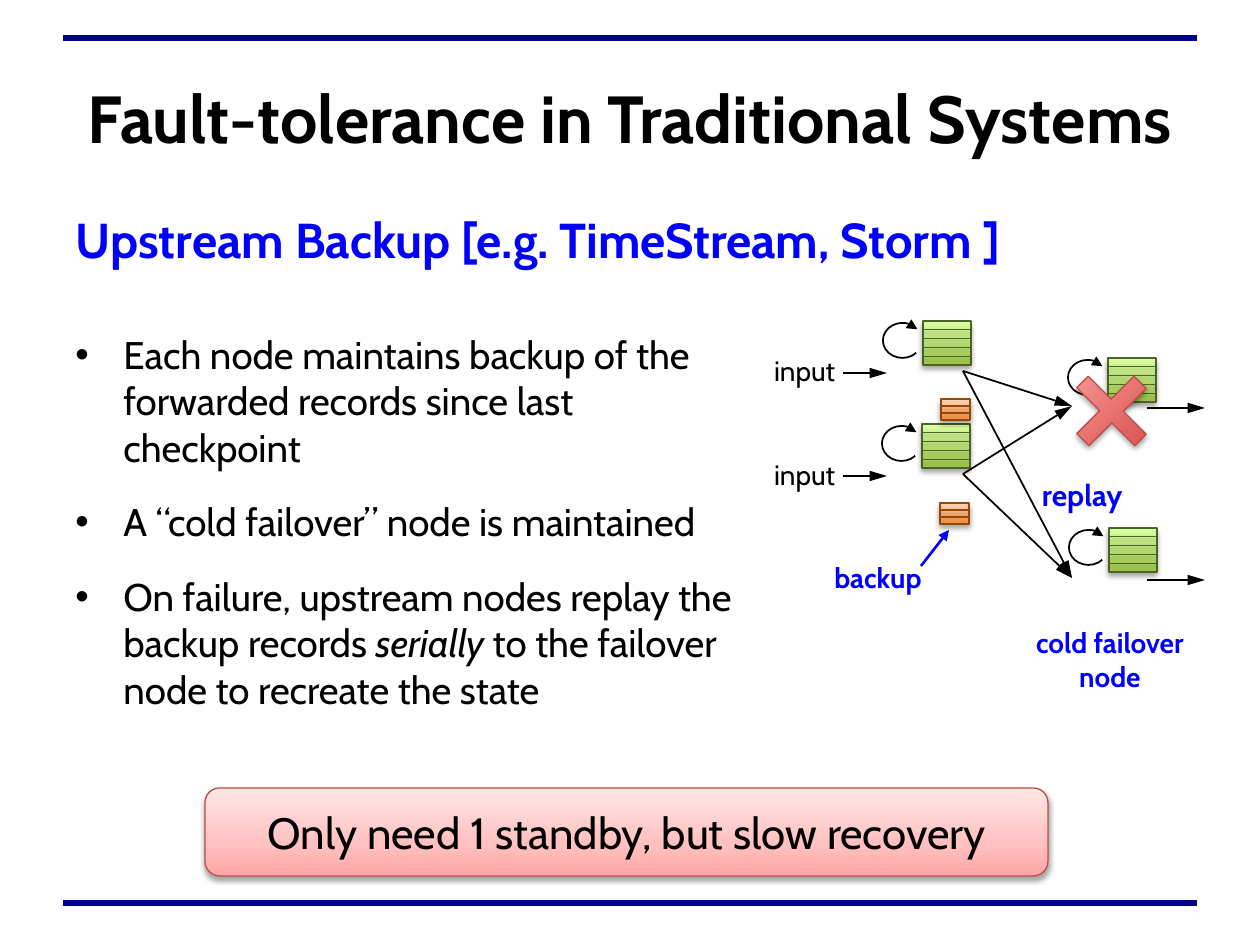
import pptx
import pptx.dml.color
import pptx.enum.shapes
import pptx.enum.text
import pptx.oxml.ns
import pptx.util
from lxml import etree

FONT = "Cabin"
BLACK, BLUE, NAVY = "000000", "0000FF", "000090"
GREEN = ([(0, "A0CA4A"), (100, "DAFFA5")], "4F6228")
ORANGE = ([(0, "FF953E"), (100, "FFD2BD")], "984807")
RED = ([(0, "D1403C"), (100, "FFA6A5")], "BF4C48")
PINK = ([(0, "FFA6A5"), (35, "FFC0BF"), (100, "FFE7E7")], "BF4C48")
SHAPES = pptx.enum.shapes.MSO_SHAPE
ALIGN = pptx.enum.text.PP_ALIGN
MIDDLE = pptx.enum.text.MSO_ANCHOR.MIDDLE


def px(length):
    return pptx.util.Emu(round(length * 914400 / 126))


def color(hex_code):
    return pptx.dml.color.RGBColor.from_string(hex_code)


def add_element(parent, tag, **attributes):
    element = etree.SubElement(parent, pptx.oxml.ns.qn(tag))
    for name, value in attributes.items():
        element.set(name, str(value))
    return element


def set_line(shape, hex_code, points):
    shape.line.color.rgb = color(hex_code)
    shape.line.width = pptx.util.Pt(points)


def add_arrowhead(shape, length="med"):
    add_element(shape.line._get_or_add_ln(), "a:tailEnd", type="triangle", w="med", len=length)


def add_shadow(effects):
    shadow = add_element(effects, "a:outerShdw", blurRad=pptx.util.Pt(3.1),
                         dist=pptx.util.Pt(1.8), dir=90 * 60000, rotWithShape=0)
    add_element(add_element(shadow, "a:srgbClr", val=BLACK), "a:alpha", val=35000)


def add_line(slide, start, end, hex_code=BLACK, points=1.0, head=None, shadow=False):
    line = slide.shapes.add_connector(pptx.enum.shapes.MSO_CONNECTOR.STRAIGHT,
                                      *map(px, start + end))
    set_line(line, hex_code, points)
    if head:
        add_arrowhead(line, head)
    effects = add_element(line._element.spPr, "a:effectLst")
    if shadow:
        add_shadow(effects)


def add_gradient_shape(slide, kind, box, style):
    stops, outline = style
    shape = slide.shapes.add_shape(kind, *map(px, box))
    shape.fill.gradient()
    shape.fill.gradient_angle = 90
    properties = shape._element.spPr
    stop_list = properties.find(".//" + pptx.oxml.ns.qn("a:gsLst"))
    stop_list.clear()
    for position, hex_code in stops:
        stop = add_element(stop_list, "a:gs", pos=position * 1000)
        add_element(stop, "a:srgbClr", val=hex_code)
    set_line(shape, outline, 0.75)
    shape.shadow.inherit = False
    add_shadow(properties.find(pptx.oxml.ns.qn("a:effectLst")))
    return shape


def add_run(paragraph, text, size, hex_code=BLACK, bold=False, italic=False):
    run = paragraph.add_run()
    run.text = text
    font = run.font
    font.name, font.size = FONT, pptx.util.Pt(size)
    font.bold, font.italic = bold, italic
    font.color.rgb = color(hex_code)


def add_text(slide, box, lines, size, hex_code=BLACK, bold=False, align=ALIGN.LEFT, inset=(13, 6)):
    frame = slide.shapes.add_textbox(*map(px, box)).text_frame
    frame.word_wrap = True
    frame.margin_left = frame.margin_right = px(inset[0])
    frame.margin_top = frame.margin_bottom = px(inset[1])
    for index, line in enumerate(lines):
        paragraph = frame.paragraphs[0] if index == 0 else frame.add_paragraph()
        paragraph.alignment = align
        add_run(paragraph, line, size, hex_code, bold)


def add_bullets(slide, box, items):
    frame = slide.shapes.add_textbox(*map(px, box)).text_frame
    frame.word_wrap = True
    for index, runs in enumerate(items):
        paragraph = frame.paragraphs[0] if index == 0 else frame.add_paragraph()
        properties = paragraph._p.get_or_add_pPr()
        properties.set("marL", str(px(48)))
        properties.set("indent", str(px(-48)))
        add_element(properties, "a:buFont", typeface="Arial")
        add_element(properties, "a:buChar", char="•")
        paragraph.space_before = pptx.util.Pt(4.4 if index else 0)
        paragraph.space_after = pptx.util.Pt(12)
        for text, italic in runs:
            add_run(paragraph, text, 22, italic=italic)


def add_records(slide, left, top, width, height, rows, style):
    add_gradient_shape(slide, SHAPES.RECTANGLE, (left, top, width, height), style)
    for row in range(1, rows):
        y = top + height * row / rows
        add_line(slide, (left, y), (left + width, y), style[1], 0.75, shadow=True)


def add_node(slide, left, top):
    add_records(slide, left, top, 48, 44, 5, GREEN)
    loop = slide.shapes.add_shape(SHAPES.ARC, *map(px, (left - 40, top + 2, 39, 35)))
    loop.adjustments[0], loop.adjustments[1] = 25.04, 194.06
    loop.fill.background()
    set_line(loop, BLACK, 1)
    add_arrowhead(loop)
    loop.shadow.inherit = False


def add_title(slide, text):
    title = slide.shapes.title
    title.left, title.top, title.width, title.height = map(px, (63, 38, 1134, 157))
    frame = title.text_frame
    frame.vertical_anchor = MIDDLE
    frame.word_wrap = True
    frame.paragraphs[0].alignment = ALIGN.CENTER
    add_run(frame.paragraphs[0], text, 38, bold=True)


def add_diagram(slide):
    # Nodes with their record stores
    for left, top in ((923, 321), (922, 424), (1108, 358), (1109, 528)):
        add_node(slide, left, top)

    # Input, output and forwarding arrows
    for y in (373, 476):
        add_line(slide, (843, y), (887, y), head="lg")
        add_text(slide, (761, y - 25, 95, 47), ["input"], 16)
    for y in (408, 580):
        add_line(slide, (1147, y), (1205, y), head="lg")
    for start_y in (371, 474):
        for end_y in (406, 578):
            add_line(slide, (963, start_y), (1072, end_y), head="lg")

    # Failed node
    cross = add_gradient_shape(slide, SHAPES.CROSS, (1071, 370, 81, 82), RED)
    cross.adjustments[0] = 0.4
    cross.rotation = 315

    # Backup records
    for left, top in ((941, 399), (940, 503)):
        add_records(slide, left, top, 29, 21, 3, ORANGE)

    # Labels
    centred = {"align": ALIGN.CENTER, "inset": (0, 4)}
    add_text(slide, (1016, 622, 188, 76), ["cold failover", "node"], 16, BLUE, True, **centred)
    add_text(slide, (784, 557, 188, 42), ["backup"], 16, BLUE, True, **centred)
    add_line(slide, (921, 566), (949, 530), BLUE, 1.5, "med")
    add_text(slide, (1029, 471, 107, 49), ["replay"], 17, BLUE, True)


def main():
    presentation = pptx.Presentation()
    presentation.slide_width, presentation.slide_height = px(1260), px(945)
    slide = presentation.slides.add_slide(presentation.slide_layouts[5])

    # Frame lines and headings
    for y in (38, 903):
        add_line(slide, (63, y), (1197, y), NAVY, 3)
    add_title(slide, "Fault-tolerance in Traditional Systems")
    add_text(slide, (63, 204, 1121, 72), ["Upstream Backup [e.g. TimeStream, Storm ]"], 28, BLUE, True)

    add_diagram(slide)

    # Explanation
    add_bullets(slide, (63, 325, 702, 520), [
        [("Each node maintains backup of the forwarded records since last checkpoint", False)],
        [("A “cold failover” node is maintained", False)],
        [("On failure, upstream nodes replay the backup records ", False), ("serially", True),
         (" to the failover node to recreate the state", False)],
    ])

    # Conclusion
    callout = add_gradient_shape(slide, SHAPES.ROUNDED_RECTANGLE, (205, 788, 843, 88), PINK)
    callout.text_frame.vertical_anchor = MIDDLE
    paragraph = callout.text_frame.paragraphs[0]
    paragraph.alignment = ALIGN.CENTER
    add_run(paragraph, "Only need 1 standby, but slow recovery", 25)

    presentation.save("out.pptx")


if __name__ == "__main__":
    main()
